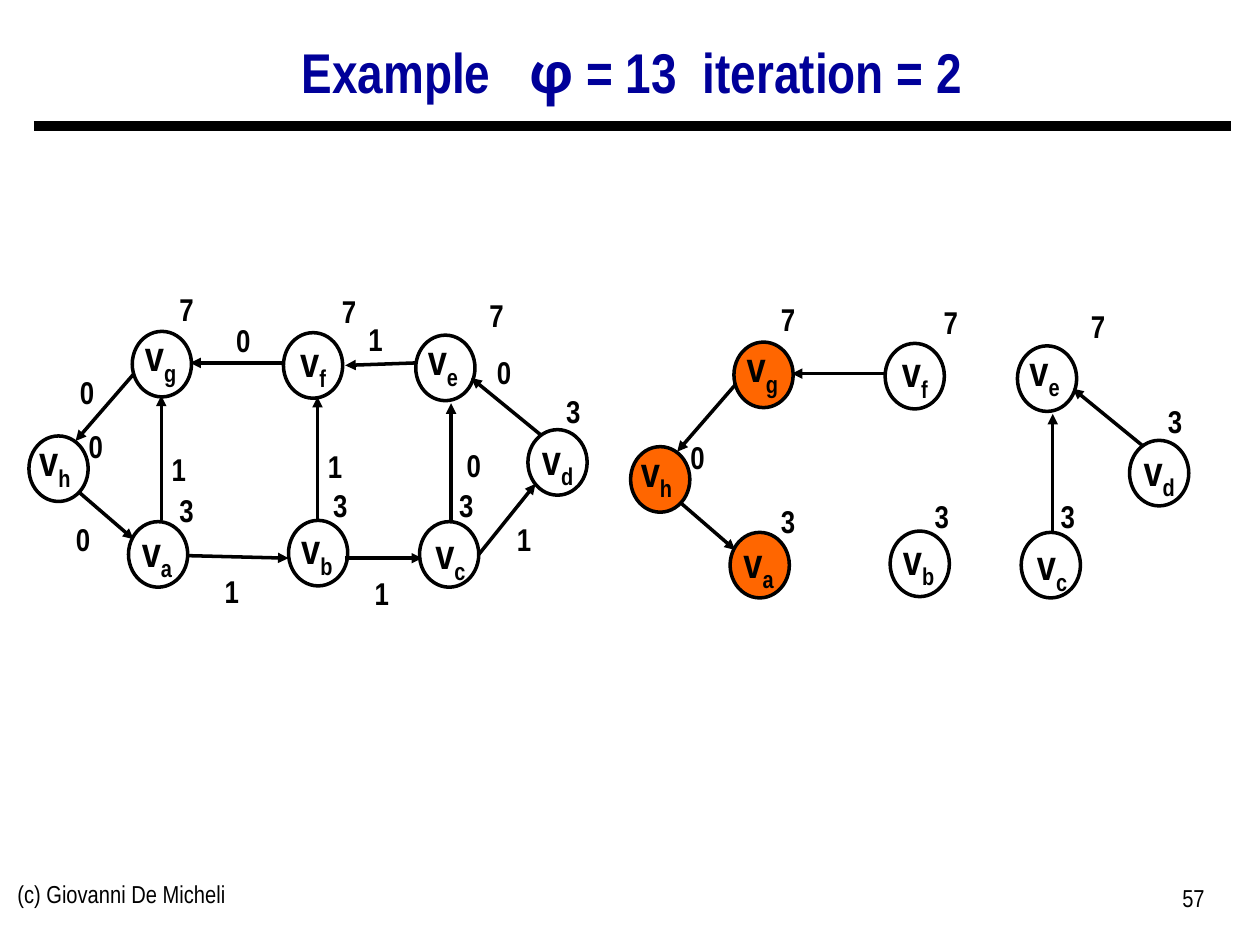
"""Build the retiming example slide: a weighted graph and its critical subgraph."""
from dataclasses import dataclass
from typing import NamedTuple

import pptx
import pptx.dml.color
import pptx.enum.shapes
import pptx.enum.text
import pptx.oxml.xmlchemy
import pptx.util

Align = pptx.enum.text.PP_ALIGN
Anchor = pptx.enum.text.MSO_ANCHOR


@dataclass(frozen=True)
class Theme:
    ink: str = "000000"
    heading: str = "000099"
    critical: str = "FF6600"
    font: str = "Arial Narrow"
    greek_font: str = "Noto Sans"
    heading_size: int = 32
    vertex_size: int = 24
    value_size: int = 18
    footer_size: int = 14
    rule_width: int = 6
    line_width: int = 2


class Cell(NamedTuple):
    col: float
    row: float


class Vertex(NamedTuple):
    letter: str
    oval: Cell
    name: Cell
    value: str
    value_at: Cell


class Edge(NamedTuple):
    start: Cell
    end: Cell
    weight: str
    weight_at: Cell
    kept: bool = False


class Piece(NamedTuple):
    text: str
    font: str | None = None
    spread: float = 0
    subscript: bool = False


THEME = Theme()
COLUMNS, ROWS = 100, 75
SLIDE_WIDTH, SLIDE_HEIGHT = pptx.util.Inches(10), pptx.util.Inches(7.5)
OVAL = Cell(4.7, 5.2)
NAME_BOX = Cell(12.1, 5)
VALUE_BOX = Cell(5.2, 4)
FULL_ORIGIN = Cell(0, 0)
CRITICAL_ORIGIN = Cell(47.75, 0.85)
CRITICAL_LETTERS = "agh"

VERTICES = [
    Vertex("a", Cell(10.2, 41.4), Cell(6.4, 41.2), "3", Cell(12.2, 38.5)),
    Vertex("b", Cell(22.9, 41.3), Cell(19.1, 41), "3", Cell(24.4, 38.1)),
    Vertex("c", Cell(33.3, 41.4), Cell(29.7, 41.4), "3", Cell(34.4, 38.1)),
    Vertex("d", Cell(41.9, 34.1), Cell(38.2, 33.9), "3", Cell(42.9, 30.6)),
    Vertex("e", Cell(33, 26.6), Cell(29.1, 26), "7", Cell(36.8, 23)),
    Vertex("f", Cell(22.5, 26.4), Cell(18.8, 26.1), "7", Cell(25.1, 22.7)),
    Vertex("g", Cell(10.5, 26.3), Cell(6.7, 25.7), "7", Cell(12.2, 22.5)),
    Vertex("h", Cell(2.3, 34.6), Cell(-1.7, 34), "0", Cell(5, 33.4)),
]

EDGES = [
    Edge(Cell(14.9, 44.1), Cell(22.9, 44.3), "1", Cell(15.8, 44.9)),
    Edge(Cell(27.4, 44.3), Cell(33.5, 44.3), "1", Cell(27.7, 45.1)),
    Edge(Cell(38, 44), Cell(42.5, 38.4), "1", Cell(39, 40.8)),
    Edge(Cell(42.9, 34.5), Cell(37.4, 30), "0", Cell(37.4, 27.5), True),
    Edge(Cell(33.1, 28.8), Cell(27.4, 29), "1", Cell(27.2, 24.9)),
    Edge(Cell(22.4, 28.8), Cell(15.1, 28.8), "0", Cell(16.7, 25), True),
    Edge(Cell(10.6, 29.7), Cell(6, 35), "0", Cell(4.3, 29.1), True),
    Edge(Cell(6.2, 39), Cell(10.6, 42.8), "0", Cell(4, 40.8), True),
    Edge(Cell(12.8, 41.3), Cell(12.8, 31.4), "1", Cell(11.6, 35.2)),
    Edge(Cell(25.2, 41.3), Cell(25.2, 31.5), "1", Cell(24, 35)),
    Edge(Cell(35.8, 41.3), Cell(35.8, 32), "0", Cell(35, 34.9), True),
]


def across(cols: float) -> int:
    """Return the length of a number of grid columns."""
    return round(SLIDE_WIDTH * cols / COLUMNS)


def down(rows: float) -> int:
    """Return the length of a number of grid rows."""
    return round(SLIDE_HEIGHT * rows / ROWS)


def shift(cell: Cell, origin: Cell) -> Cell:
    """Move a cell by the origin of its graph."""
    return Cell(cell.col + origin.col, cell.row + origin.row)


def rgb(color: str) -> pptx.dml.color.RGBColor:
    """Return a theme colour as an RGB value."""
    return pptx.dml.color.RGBColor.from_string(color)


def add_text(slide, at: Cell, size: Cell, pieces: list[Piece], points: int,
             color: str = THEME.ink, bold: bool = True, align=Align.CENTER,
             anchor=Anchor.TOP, spacing: float = 1.0) -> None:
    """Write one paragraph made of pieces into a text box."""
    box = slide.shapes.add_textbox(across(at.col), down(at.row), across(size.col), down(size.row))
    frame = box.text_frame
    frame.word_wrap = True
    frame.vertical_anchor = anchor
    paragraph = frame.paragraphs[0]
    paragraph.alignment = align
    paragraph.line_spacing = spacing
    paragraph.font.name = THEME.font
    paragraph.font.size = pptx.util.Pt(points)
    paragraph.font.bold = bold
    paragraph.font.color.rgb = rgb(color)
    for piece in pieces:
        run = paragraph.add_run()
        run.text = piece.text
        if piece.font:
            run.font.name = piece.font
        if piece.spread:
            run._r.get_or_add_rPr().set("spc", str(round(piece.spread * 100)))
        if piece.subscript:
            run._r.get_or_add_rPr().set("baseline", "-25000")


def add_line(slide, start: Cell, end: Cell, width: int, arrow: bool = False) -> None:
    """Draw a straight line, with an arrowhead at its end if wanted."""
    line = slide.shapes.add_connector(
        pptx.enum.shapes.MSO_CONNECTOR.STRAIGHT,
        across(start.col), down(start.row), across(end.col), down(end.row))
    line.line.color.rgb = rgb(THEME.ink)
    line.line.width = pptx.util.Pt(width)
    if arrow:
        head = pptx.oxml.xmlchemy.OxmlElement("a:tailEnd")
        head.set("type", "triangle")
        line.line._get_or_add_ln().append(head)
    line._element.spPr.append(pptx.oxml.xmlchemy.OxmlElement("a:effectLst"))


def add_oval(slide, at: Cell, filled: bool) -> None:
    """Draw the outline of a vertex, filled when it is critical."""
    oval = slide.shapes.add_shape(
        pptx.enum.shapes.MSO_SHAPE.FLOWCHART_CONNECTOR,
        across(at.col), down(at.row), across(OVAL.col), down(OVAL.row))
    oval.shadow.inherit = False
    oval.line.color.rgb = rgb(THEME.ink)
    oval.line.width = pptx.util.Pt(THEME.line_width)
    if filled:
        oval.fill.solid()
        oval.fill.fore_color.rgb = rgb(THEME.critical)
    else:
        oval.fill.background()


def add_value(slide, at: Cell, value: str) -> None:
    """Write a weight or an arrival time."""
    add_text(slide, at, VALUE_BOX, [Piece(value)], THEME.value_size)


def draw_graph(slide, origin: Cell, critical: bool) -> None:
    """Draw the full graph, or only the kept edges with critical vertices filled."""
    for vertex in VERTICES:
        add_oval(slide, shift(vertex.oval, origin), critical and vertex.letter in CRITICAL_LETTERS)
    for edge in EDGES:
        if edge.kept or not critical:
            add_line(slide, shift(edge.start, origin), shift(edge.end, origin), THEME.line_width, True)
        if not critical:
            add_value(slide, shift(edge.weight_at, origin), edge.weight)
    for vertex in VERTICES:
        add_text(slide, shift(vertex.name, origin), NAME_BOX,
                 [Piece("v"), Piece(vertex.letter, subscript=True)], THEME.vertex_size)
        add_value(slide, shift(vertex.value_at, origin), vertex.value)


def main() -> None:
    """Build and save the slide."""
    deck = pptx.Presentation()
    deck.slide_width, deck.slide_height = SLIDE_WIDTH, SLIDE_HEIGHT
    slide = deck.slides.add_slide(deck.slide_layouts[6])
    add_line(slide, Cell(2.7, 10), Cell(97.7, 10), THEME.rule_width)
    heading = [Piece("Example"), Piece(" ", spread=14.6), Piece("φ", THEME.greek_font),
               Piece(" = 13"), Piece(" ", spread=7.3), Piece("iteration = 2")]
    add_text(slide, Cell(2.6, 2.2), Cell(95.1, 7.5), heading, THEME.heading_size,
             THEME.heading, anchor=Anchor.MIDDLE, spacing=0.9)
    add_text(slide, Cell(0.4, 69.3), Cell(31.7, 5.2), [Piece("(c) Giovanni De Micheli")],
             THEME.footer_size, bold=False, align=Align.LEFT)
    add_text(slide, Cell(73.3, 69.6), Cell(23.3, 5.2), [Piece("57")],
             THEME.footer_size, bold=False, align=Align.RIGHT)
    draw_graph(slide, FULL_ORIGIN, critical=False)
    draw_graph(slide, CRITICAL_ORIGIN, critical=True)
    deck.save("out.pptx")


if __name__ == "__main__":
    main()
